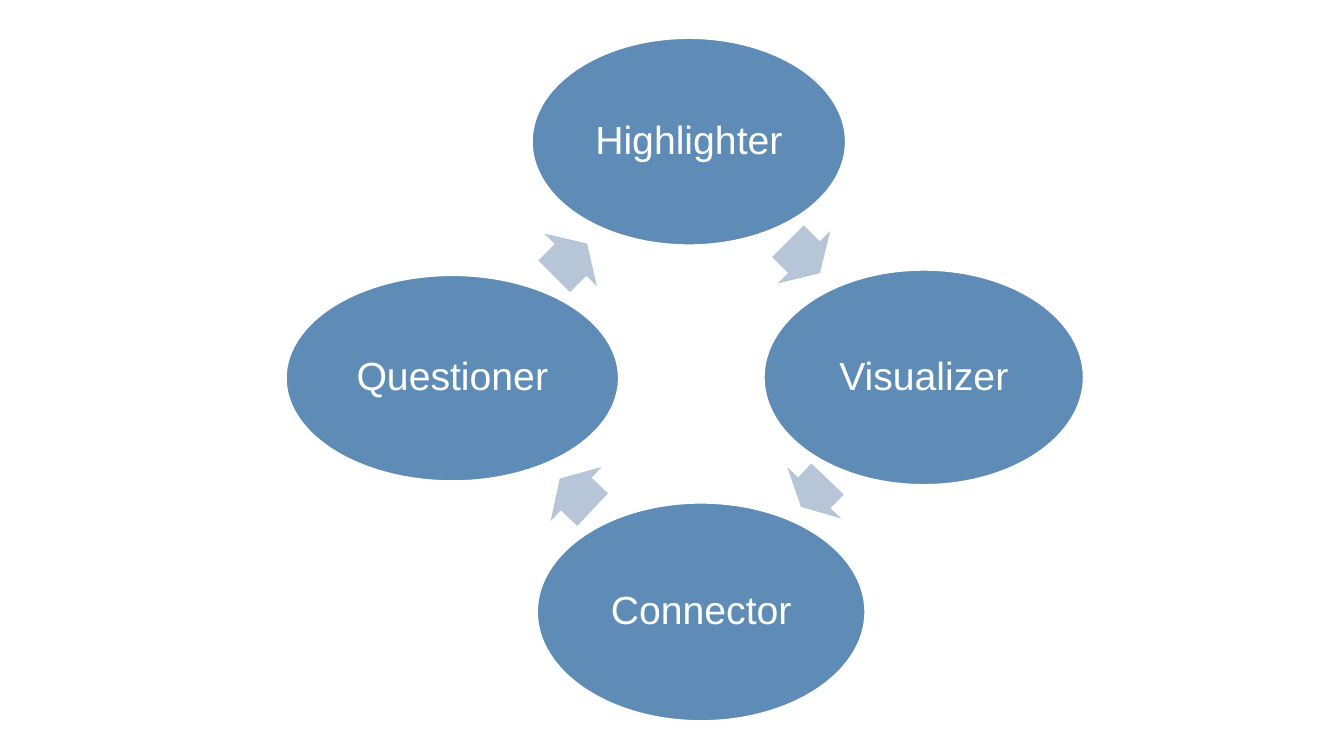
import pptx
import pptx.util
import pptx.dml.color
import pptx.enum.shapes
import pptx.enum.text

Cm = pptx.util.Cm
Pt = pptx.util.Pt
SHAPES = pptx.enum.shapes.MSO_SHAPE

SLIDE_SIZE = (33.87, 19.05)
ROLE_FILL, ARROW_FILL, WHITE = "5E8CB6", "B6C5D7", "FFFFFF"
ARROW_HEIGHT = 1.88

# name, centre, size
ROLES = [
    ("Highlighter", (17.36, 3.57), (7.9, 5.21)),
    ("Visualizer", (23.28, 9.51), (8.05, 5.41)),
    ("Connector", (17.67, 15.42), (8.26, 5.49)),
    ("Questioner", (11.4, 9.53), (8.38, 5.18)),
]
# centre, length, rotation
ARROWS = [
    ((20.26, 6.48), 1.14, 45),
    ((20.52, 12.42), 0.97, 133.6),
    ((14.52, 12.45), 1.14, 223.3),
    ((14.38, 6.55), 1.17, 315),
]


def paint(target, color):
    target.solid()
    target.fore_color.rgb = pptx.dml.color.RGBColor.from_string(color)


def add_centred(slide, preset, centre, size, fill):
    (x, y), (width, height) = centre, size
    part = slide.shapes.add_shape(
        preset, Cm(x - width / 2), Cm(y - height / 2), Cm(width), Cm(height)
    )
    part.shadow.inherit = False
    paint(part.fill, fill)
    return part


def write(part, text, size=28, font="Arial", color=WHITE, inset=0.1, spacing=0.9):
    frame = part.text_frame
    frame.word_wrap = True
    frame.vertical_anchor = pptx.enum.text.MSO_ANCHOR.MIDDLE
    frame.margin_left = frame.margin_right = Cm(inset)
    frame.margin_top = frame.margin_bottom = Cm(inset)
    paragraph = frame.paragraphs[0]
    paragraph.alignment = pptx.enum.text.PP_ALIGN.CENTER
    paragraph.line_spacing = spacing
    run = paragraph.add_run()
    run.text = text
    run.font.size = Pt(size)
    run.font.name = font
    paint(run.font.fill, color)


def main():
    deck = pptx.Presentation()
    deck.slide_width, deck.slide_height = map(Cm, SLIDE_SIZE)
    slide = deck.slides.add_slide(deck.slide_layouts[6])

    for (name, centre, size), (midpoint, length, angle) in zip(ROLES, ARROWS):
        role = add_centred(slide, SHAPES.OVAL, centre, size, ROLE_FILL)
        paint(role.line.fill, WHITE)
        role.line.width = Pt(1)
        write(role, name)

        arrow = add_centred(
            slide, SHAPES.RIGHT_ARROW, midpoint, (length, ARROW_HEIGHT), ARROW_FILL
        )
        arrow.line.fill.background()
        arrow.adjustments[0] = 0.6
        arrow.adjustments[1] = 0.5
        arrow.rotation = angle

    deck.save("out.pptx")


if __name__ == "__main__":
    main()
